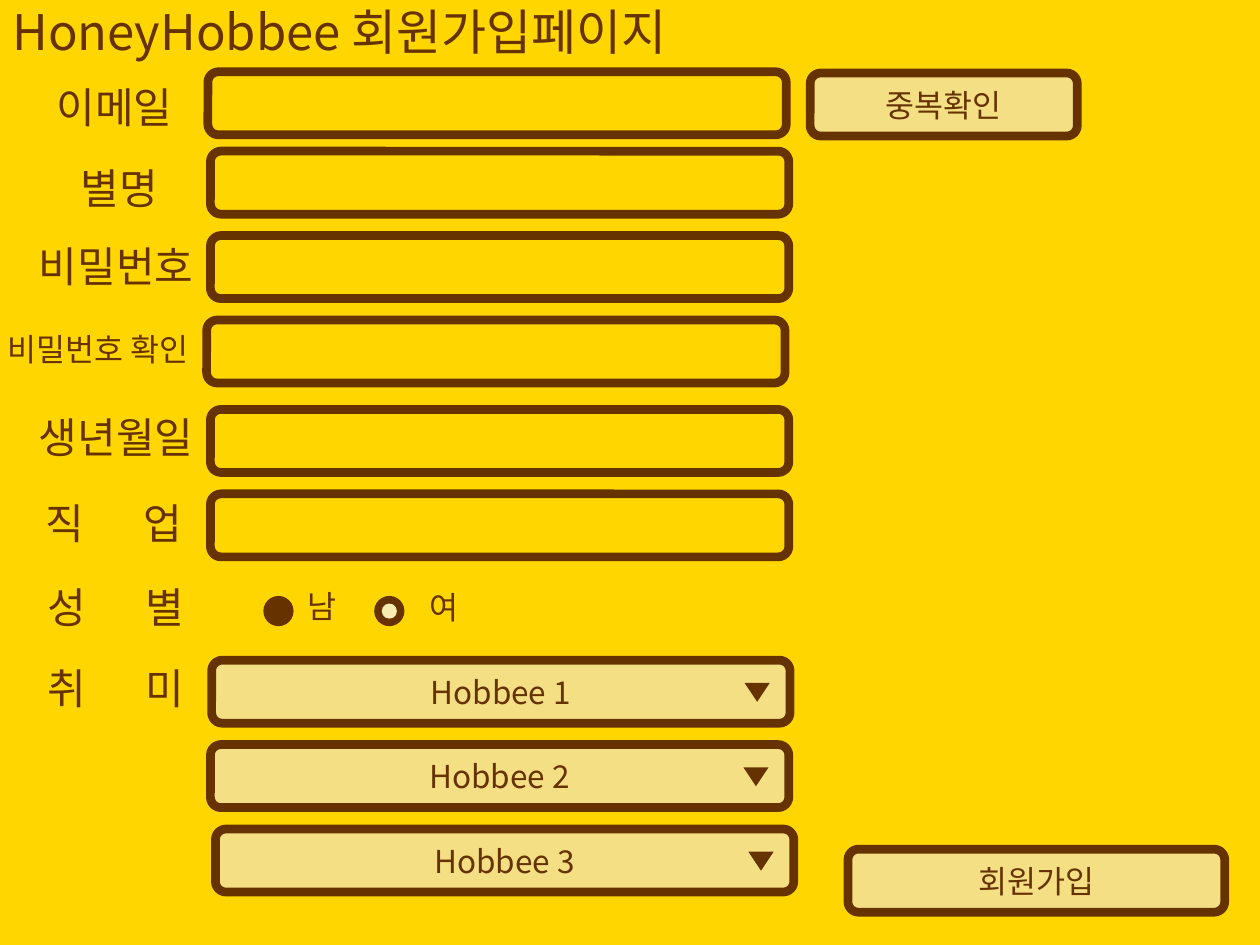
import pptx
import pptx.util
import pptx.dml.color
import pptx.enum.shapes
import pptx.enum.text
import pptx.oxml.ns
import lxml.etree

Inches = pptx.util.Inches
Pt = pptx.util.Pt
SHAPE = pptx.enum.shapes.MSO_SHAPE
ALIGN = pptx.enum.text.PP_ALIGN
ANCHOR = pptx.enum.text.MSO_ANCHOR
qn = pptx.oxml.ns.qn


def rgb(code):
    return pptx.dml.color.RGBColor.from_string(code)


class Form:
    font = "Noto Sans CJK KR"
    brown, cream, pale, yellow = "663300", "F4DF84", "F8EBB2", "FFD600"
    field_w, field_h = 4.59, 0.5

    def __init__(self, slide):
        self.s = slide
        fill = slide.background.fill
        fill.solid()
        fill.fore_color.rgb = rgb(self.yellow)

    def add_run(self, p, text, size):
        r = p.add_run()
        r.text = text
        r.font.size = Pt(size)
        r.font.name = self.font
        r.font.color.rgb = rgb(self.brown)
        ea = lxml.etree.Element(qn("a:ea"), typeface=self.font)
        r.font._element.find(qn("a:latin")).addnext(ea)

    def fill_text(self, sp, text, size, tab=None):
        """Write top-left text in a box that grows with it."""
        tf = sp.text_frame
        tf.word_wrap = True
        tf.auto_size = pptx.enum.text.MSO_AUTO_SIZE.SHAPE_TO_FIT_TEXT
        tf.vertical_anchor = ANCHOR.TOP
        p = tf.paragraphs[0]
        p.alignment = ALIGN.LEFT
        if tab:
            tabs = lxml.etree.SubElement(p._p.get_or_add_pPr(), qn("a:tabLst"))
            lxml.etree.SubElement(tabs, qn("a:tab"), pos=str(Inches(tab)), algn="l")
        self.add_run(p, text, size)

    def title(self, text, x, y, w, h):
        sp = self.s.shapes.title
        sp.left, sp.top, sp.width, sp.height = map(Inches, (x, y, w, h))
        self.fill_text(sp, text, 28)

    def label(self, text, x, y, w=3.31, size=24, tab=None):
        h = 0.5 if size == 24 else 0.4
        sp = self.s.shapes.add_textbox(Inches(x), Inches(y), Inches(w), Inches(h))
        self.fill_text(sp, text, size, tab)

    def shape(self, kind, x, y, w, h, fill=None):
        sp = self.s.shapes.add_shape(kind, Inches(x), Inches(y), Inches(w), Inches(h))
        sp.shadow.inherit = False
        sp.line.fill.background()
        if fill:
            sp.fill.solid()
            sp.fill.fore_color.rgb = rgb(fill)
        else:
            sp.fill.background()
        return sp

    def field(self, x, y, w=field_w, fill=None):
        sp = self.shape(SHAPE.ROUNDED_RECTANGLE, x, y, w, self.field_h, fill)
        sp.line.color.rgb = rgb(self.brown)
        sp.line.width = Pt(5)
        return sp

    def button(self, text, x, y, w=field_w):
        tf = self.field(x, y, w, self.cream).text_frame
        tf.vertical_anchor = ANCHOR.MIDDLE
        p = tf.paragraphs[0]
        p.alignment = ALIGN.CENTER
        self.add_run(p, text, 18)

    def dropdown(self, text, x, y):
        self.button(text, x, y)
        self.shape(SHAPE.FLOWCHART_MERGE, x + 4.23, y + 0.18, 0.2, 0.15, self.brown)

    def radio(self, text, x, label_x, label_y, hollow=False):
        y = 4.73
        self.shape(SHAPE.OVAL, x, y, 0.24, 0.24, self.brown)
        if hollow:
            self.shape(SHAPE.OVAL, x + 0.06, y + 0.06, 0.12, 0.12, self.pale)
        self.label(text, label_x, label_y, w=0.63, size=18)


def main():
    prs = pptx.Presentation()
    prs.slide_width, prs.slide_height = Inches(10), Inches(7.5)
    form = Form(prs.slides.add_slide(prs.slide_layouts[5]))
    form.title("HoneyHobbee 회원가입페이지", 0, -0.04, 7.87, 0.57)

    # label, its left, top and size, then left and top of its input field
    rows = [
        ("이메일", 0.35, 0.6, 24, 1.65, 0.57),
        ("별명", 0.54, 1.24, 24, 1.67, 1.2),
        ("비밀번호", 0.21, 1.86, 24, 1.67, 1.87),
        ("비밀번호 확인", -0.04, 2.57, 18, 1.64, 2.54),
        ("생년월일", 0.21, 3.22, 24, 1.67, 3.25),
    ]
    for text, x, y, size, field_x, field_y in rows:
        form.label(text, x, y, size=size)
        form.field(field_x, field_y)

    # two-letter labels spread apart by a tab
    for text, x, y, w in [("직\t업", 0.26, 3.9, 3.31),
                          ("성\t별", 0.28, 4.57, 1.43),
                          ("취\t미", 0.28, 5.21, 3.31)]:
        form.label(text, x, y, w, tab=0.78)
    form.field(1.67, 3.92)

    form.radio("남", 2.09, 2.34, 4.61)
    form.radio("여", 2.97, 3.31, 4.62, hollow=True)

    for i, x in enumerate((1.68, 1.67, 1.71)):
        form.dropdown(f"Hobbee {i + 1}", x, 5.24 + 0.67 * i)

    form.button("중복확인", 6.43, 0.58, 2.12)
    form.button("회원가입", 6.73, 6.74, 2.99)
    prs.save("out.pptx")


if __name__ == "__main__":
    main()
